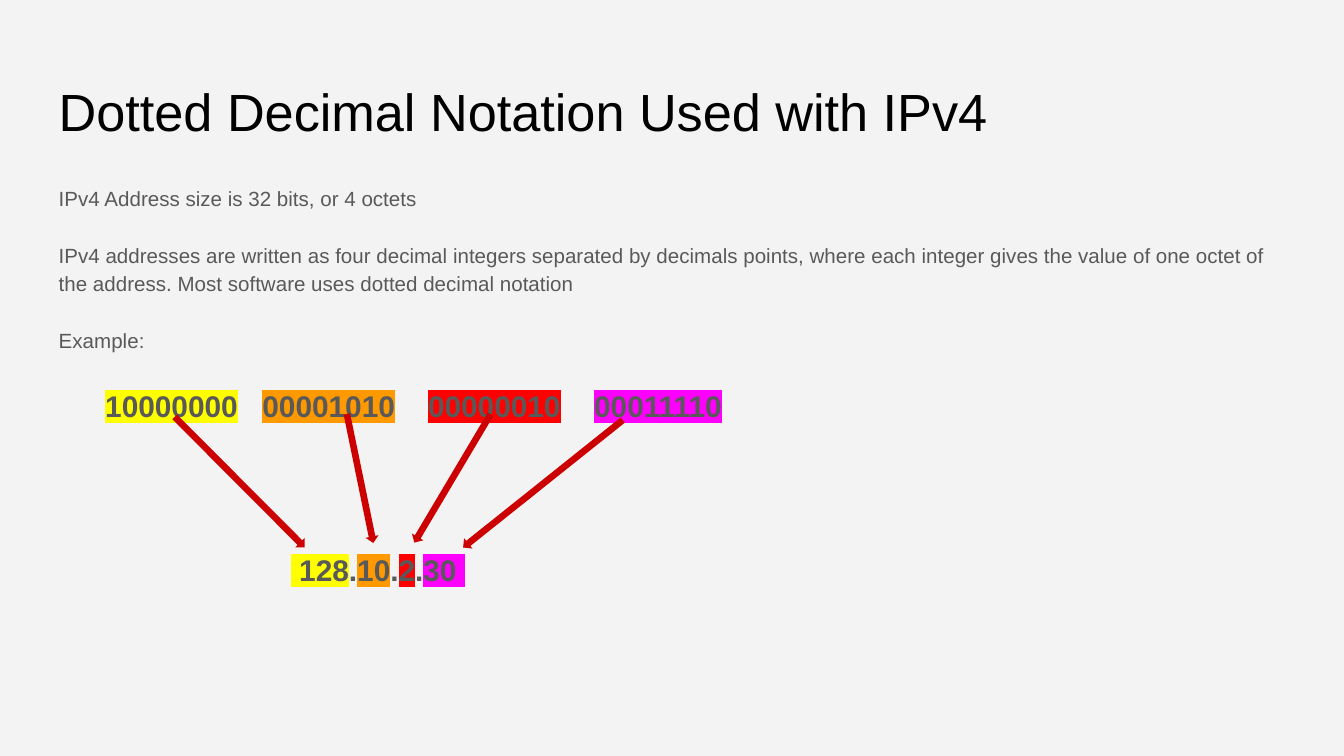
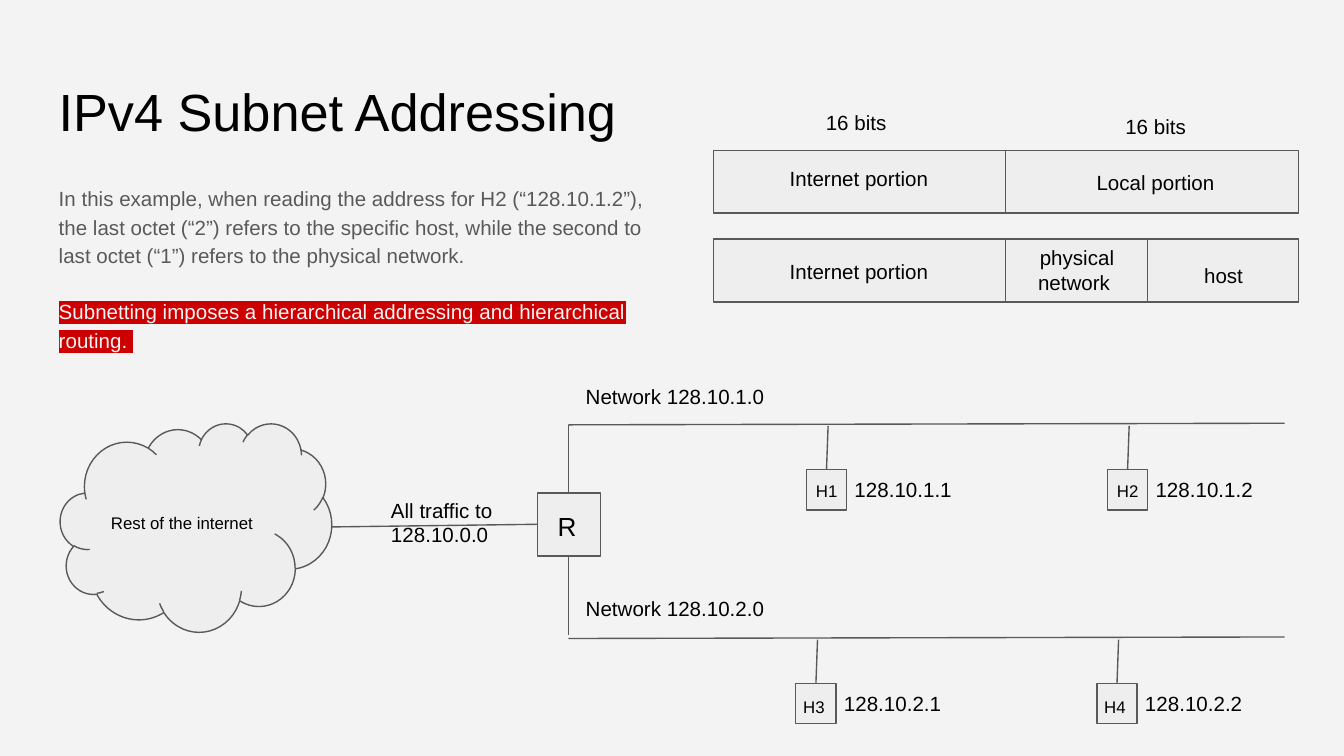
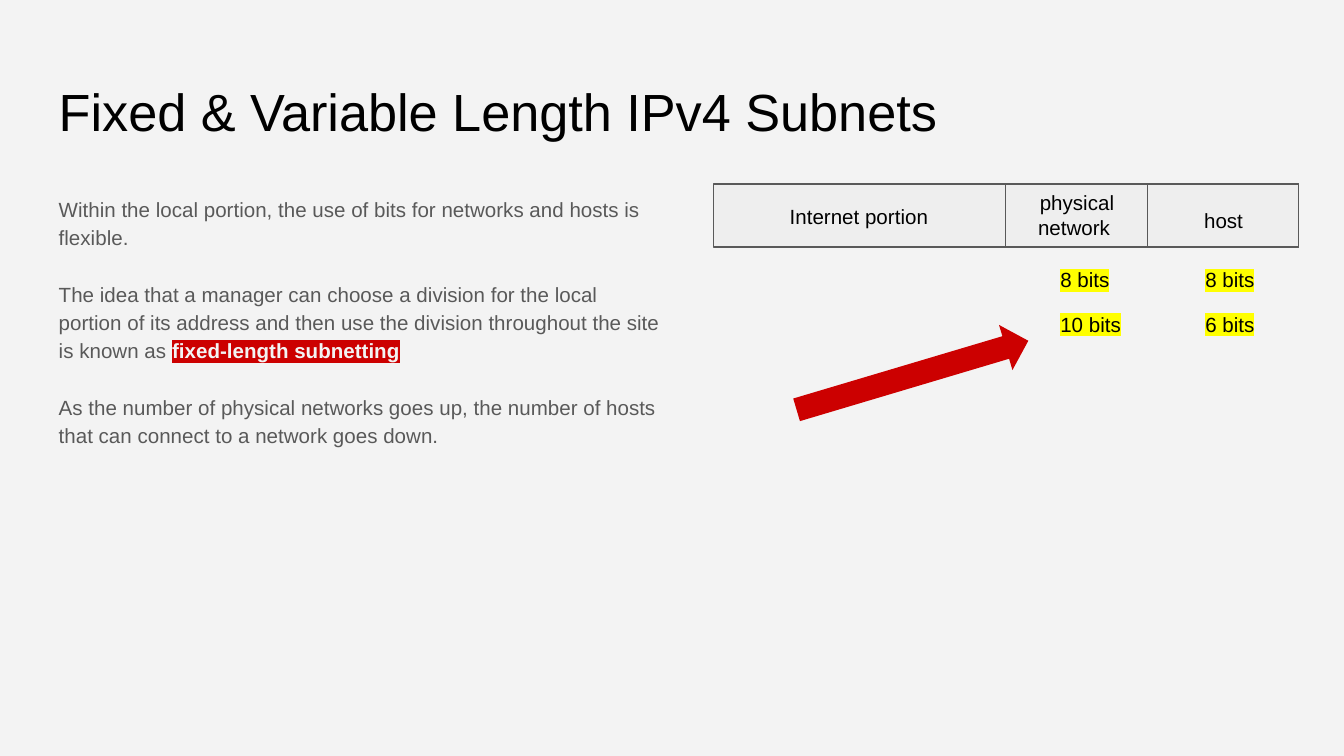
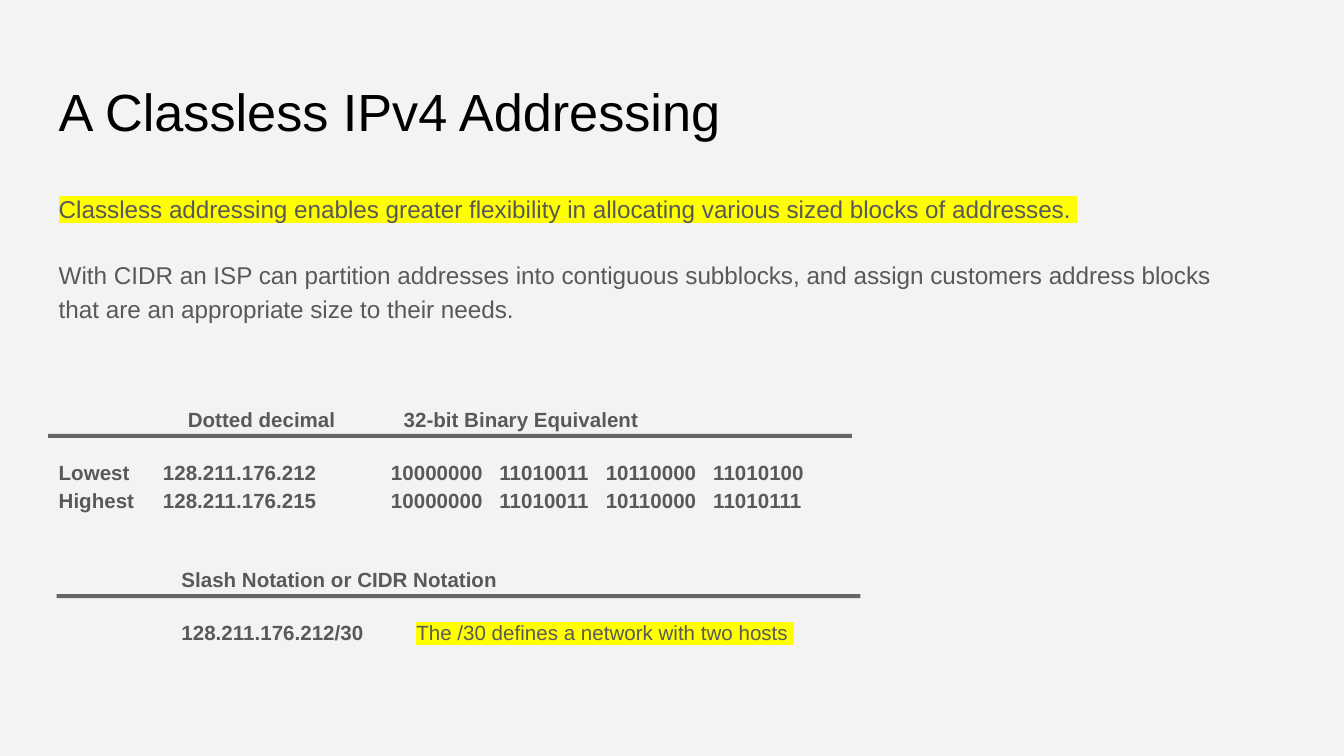
from dataclasses import dataclass

from lxml.etree import SubElement
from pptx import Presentation
from pptx.dml.color import RGBColor
from pptx.enum.shapes import MSO_CONNECTOR, MSO_SHAPE
from pptx.enum.text import MSO_ANCHOR, MSO_AUTO_SIZE, PP_ALIGN
from pptx.oxml.ns import qn
from pptx.util import Cm, Pt

BACKGROUND = RGBColor(0xF3, 0xF3, 0xF3)
BLACK = RGBColor(0, 0, 0)
GREY = RGBColor(0x59, 0x59, 0x59)
RULE_GREY = RGBColor(0x66, 0x66, 0x66)
BOX_FILL = RGBColor(0xEE, 0xEE, 0xEE)
DARK_RED = RGBColor(0xCC, 0, 0)
YELLOW = RGBColor(0xFF, 0xFF, 0)
ORANGE = RGBColor(0xFF, 0x99, 0)
RED = RGBColor(0xFF, 0, 0)
MAGENTA = RGBColor(0xFF, 0, 0xFF)

FONT = "Arial"
LINE_HEIGHT = 1.38  # height of a 1.15-spaced line, as a share of the font size
BODY_SPACING = 1.15
TITLE_AREA = (0.86, 1.24, 23.67, 1.6)


@dataclass
class Run:
    text: str
    highlight: RGBColor = None
    color: RGBColor = None
    bold: bool = None


@dataclass
class Para:
    """One paragraph; gap counts the lines left free above it."""
    runs: list
    size: float = 11
    gap: float = 0
    bold: bool = False
    color: RGBColor = GREY
    spacing: float = BODY_SPACING
    align: PP_ALIGN = PP_ALIGN.LEFT


# Content: all lengths in cm, areas are (left, top, width, height)

# octet: bits, decimal value, colour, left
OCTETS = [("10000000", " 128", YELLOW, 1.74), ("00001010", "10", ORANGE, 4.71),
          ("00000010", "2", RED, 7.84), ("00011110", "30 ", MAGENTA, 10.98)]
OCTET_TOP, OCTET_WIDTH, OCTET_HEIGHT = 6.97, 3.1, 1.25
DOTTED_AREA = (5.25, 10.07, 4.2, 1.25)
OCTET_ARROWS = [((2.79, 8.99, 3.48, 0.25), 45.1), ((5.56, 8.92, 2.49, 0.25), 78.4),
                ((7.14, 8.92, 2.82, 0.25), 120.7), ((8.33, 9.02, 3.86, 0.25), 141.4)]

NOTATION = [
    Para([Run("IPv4 Address size is 32 bits, or 4 octets")]),
    Para([Run("IPv4 addresses are written as four decimal integers separated by decimals "
              "points, where each integer gives the value of one octet of the address. "
              "Most software uses dotted decimal notation")], gap=1),
    Para([Run("Example:")], gap=1),
]

SUBNETTING = [
    Para([Run("In this example, when reading the address for H2 (“128.10.1.2”), the last "
              "octet (“2”) refers to the specific host, while the second to last octet "
              "(“1”) refers to the physical network.")]),
    Para([Run("Subnetting imposes a hierarchical addressing and hierarchical routing. ",
              DARK_RED, BACKGROUND)], gap=1),
]

# address part: text, box left, box width, label left, label width, label drop
INTERNET = ("Internet portion", 13.49, 5.54, 13.49, 5.49, 0.12)
INTERNET_HIGH = INTERNET[:-1] + (0.05,)
LOCAL = ("Local portion", 19.0, 5.54, 19.15, 5.38, 0.13)
PHYSICAL = ("physical network ", 19.0, 5.54, 19.1, 2.51, -0.14)
HOST = ("host", 21.69, 2.85, 21.87, 2.51, 0.2)
PART_HEIGHT = 1.19
BIT_COUNTS = [("16 bits ", (13.49, 1.83, 5.49, 0.71)), ("16 bits", (19.15, 1.9, 5.38, 0.71))]

CLOUD = (1.14, 8.0, 5.13, 3.94)
ROUTER = (10.16, 9.32, 1.19, 1.19)
LINKS = [(6.27, 9.96, 10.16, 9.91), (10.74, 8.03, 10.74, 9.32), (10.74, 10.49, 10.74, 12.01)]
BUS_LEFT, BUS_RIGHT = 10.74, 24.28
HOST_SIZE = 0.76
# network: name, bus top, name top, shift of host names, hosts (name, address, left)
NETWORKS = [
    ("Network 128.10.1.0", 8.0, 7.04, (-0.07, -0.05),
     [("H1", "128.10.1.1", 15.24), ("H2", "128.10.1.2", 20.93)]),
    ("Network 128.10.2.0", 12.04, 11.05, (-0.11, 0),
     [("H3", "128.10.2.1", 15.04), ("H4", "128.10.2.2", 20.73)]),
]

SUBNET_LENGTHS = [
    Para([Run("Within the local portion, the use of bits for networks and hosts is flexible.")]),
    Para([Run("The idea that a manager can choose a division for the local portion of its "
              "address and then use the division throughout the site is known as "),
          Run("fixed-length subnetting", DARK_RED, BACKGROUND, True)], gap=1),
    Para([Run("As the number of physical networks goes up, the number of hosts that can "
              "connect to a network goes down.")], gap=1),
]
DIVISIONS = [("8 bits", "8 bits"), ("10 bits", "6 bits")]
DIVISION_LEFTS, DIVISION_TOP, DIVISION_STEP = (19.79, 22.53), 4.8, 0.84

CLASSLESS = [
    Para([Run("Classless addressing enables greater flexibility in allocating various sized "
              "blocks of addresses. ", YELLOW)], size=13),
    Para([Run("With CIDR an ISP can partition addresses into contiguous subblocks, and assign "
              "customers address blocks that are an appropriate size to their needs.")],
         size=13, gap=1),
]
# column of the address range: left, width, lowest, highest
RANGE_COLUMNS = [
    (0.86, 1.98, "Lowest", "Highest"),
    (2.83, 3.6, "128.211.176.212", "128.211.176.215"),
    (7.14, 2.4, "10000000", "10000000"),
    (9.19, 2.4, "11010011", "11010011"),
    (11.2, 2.4, "10110000", "10110000"),
    (13.23, 2.4, "11010100", "11010111"),
]
RANGE_TOP, RANGE_HEIGHT = 8.38, 1.5
CIDR_TEXTS = [
    ((3.3, 7.37, 4.0, 0.74), Para([Run("Dotted decimal")], bold=True)),
    ((7.38, 7.37, 6.0, 0.74), Para([Run("32-bit Binary Equivalent")], bold=True)),
    ((3.18, 11.4, 8.43, 1.5), Para([Run("128.211.176.212/30")], bold=True)),
    ((3.18, 10.39, 7.04, 0.66), Para([Run("Slash Notation or CIDR Notation")], bold=True)),
    ((7.62, 11.4, 13.56, 1.5), Para([Run("The /30 defines a network with two hosts ", YELLOW)])),
]
CIDR_RULES = [(0.91, 8.2, 15.19, 0.08), (1.07, 11.23, 15.19, 0.08)]


def cm(area):
    return [Cm(length) for length in area]


def write_run(paragraph, part):
    run = paragraph.add_run()
    run.text = part.text
    if part.bold is not None:
        run.font.bold = part.bold
    if part.color is not None:
        run.font.color.rgb = part.color
    if part.highlight is not None:
        highlight = SubElement(run.font._element, qn("a:highlight"))
        SubElement(highlight, qn("a:srgbClr"), val=str(part.highlight))


def write(frame, paras, anchor=MSO_ANCHOR.TOP):
    frame.word_wrap = True
    frame.auto_size = MSO_AUTO_SIZE.NONE
    frame.vertical_anchor = anchor
    frame.margin_left = frame.margin_right = Cm(0.25)
    frame.margin_top = frame.margin_bottom = Cm(0.25)
    for i, para in enumerate(paras):
        paragraph = frame.add_paragraph() if i else frame.paragraphs[0]
        properties = paragraph._p.get_or_add_pPr()
        properties.set("marL", "0")
        properties.set("indent", "0")
        SubElement(properties, qn("a:buNone"))
        paragraph.alignment = para.align
        paragraph.line_spacing = para.spacing
        paragraph.space_before = Pt(round(para.gap * para.size * LINE_HEIGHT, 1))
        paragraph.space_after = Pt(0)
        font = paragraph.font
        font.name, font.size, font.bold = FONT, Pt(para.size), para.bold
        font.color.rgb = para.color
        for part in para.runs:
            write_run(paragraph, part)


def place(shape, area):
    shape.left, shape.top, shape.width, shape.height = cm(area)


def add_slide(prs, title, body_area, body):
    slide = prs.slides.add_slide(prs.slide_layouts[1])
    heading, content = slide.placeholders
    place(heading, TITLE_AREA)
    write(heading.text_frame, [Para([Run(title)], size=28, color=BLACK, spacing=1.0)])
    place(content, body_area)
    write(content.text_frame, body)
    return slide


def add_text(slide, area, paras):
    write(slide.shapes.add_textbox(*cm(area)).text_frame, paras)


def add_label(slide, text, area, size=11, align=PP_ALIGN.LEFT, highlight=None):
    add_text(slide, area, [Para([Run(line, highlight)], size=size, color=BLACK, spacing=1.0,
                                align=align) for line in text.split("\n")])


def add_box(slide, area, kind=MSO_SHAPE.RECTANGLE, fill=BOX_FILL, line=GREY, rotation=0):
    box = slide.shapes.add_shape(kind, *cm(area))
    box.shadow.inherit = False
    box.fill.solid()
    box.fill.fore_color.rgb = fill
    box.rotation = rotation
    if line is None:
        box.line.fill.background()
    else:
        box.line.color.rgb = line
        box.line.width = Pt(0.75)
    return box


def add_arrow(slide, area, rotation):
    add_box(slide, area, MSO_SHAPE.RIGHT_ARROW, DARK_RED, None, rotation)


def add_line(slide, ends):
    line = slide.shapes.add_connector(MSO_CONNECTOR.STRAIGHT, *cm(ends))
    line.line.color.rgb = GREY
    line.line.width = Pt(0.75)
    SubElement(line._element.spPr, qn("a:effectLst"))


def add_address(slide, top, parts):
    for text, left, width, label_left, label_width, drop in parts:
        add_box(slide, (left, top, width, PART_HEIGHT))
        add_label(slide, text, (label_left, top + drop, label_width, 0.71),
                  align=PP_ALIGN.CENTER)


def add_network(slide, name, bus, name_top, shift, hosts):
    add_line(slide, (BUS_LEFT, bus + 0.03, BUS_RIGHT, bus))
    add_label(slide, name, (10.82, name_top, 7.01, 0.43))
    top = bus + 0.88
    for host, address, left in hosts:
        add_box(slide, (left, top, HOST_SIZE, HOST_SIZE))
        add_line(slide, (left + 0.41, bus + 0.05, left + 0.38, top))
        add_label(slide, host, (left + shift[0], top + shift[1], 1.35, 0.76), size=9)
        add_label(slide, address, (left + 0.66, top - 0.08, 2.92, 0.43))


def notation_slide(prs):
    slide = add_slide(prs, "Dotted Decimal Notation Used with IPv4",
                      (0.86, 3.2, 23.67, 9.5), NOTATION)
    dotted = []
    for bits, value, color, left in OCTETS:
        add_text(slide, (left, OCTET_TOP, OCTET_WIDTH, OCTET_HEIGHT),
                 [Para([Run(bits, color)], size=16, bold=True)])
        if dotted:
            dotted.append(Run("."))
        dotted.append(Run(value, color))
    add_text(slide, DOTTED_AREA, [Para(dotted, size=16, bold=True)])
    for area, rotation in OCTET_ARROWS:
        add_arrow(slide, area, rotation)


def subnet_slide(prs):
    slide = add_slide(prs, "IPv4 Subnet Addressing", (0.86, 3.2, 11.84, 3.07), SUBNETTING)
    cloud = add_box(slide, CLOUD, MSO_SHAPE.CLOUD)
    write(cloud.text_frame, [Para([Run("Rest of the internet")], size=9, color=BLACK,
                                  spacing=1.0)], MSO_ANCHOR.MIDDLE)
    for ends in LINKS:
        add_line(slide, ends)
    add_box(slide, ROUTER)
    add_label(slide, "R", (10.29, 9.4, 0.99, 0.76), size=14)
    add_label(slide, "All traffic to\n128.10.0.0", (7.14, 9.19, 3.1, 0.43))
    for network in NETWORKS:
        add_network(slide, *network)
    add_address(slide, 2.84, [INTERNET_HIGH, LOCAL])
    add_address(slide, 4.52, [INTERNET, PHYSICAL, HOST])
    for text, area in BIT_COUNTS:
        add_label(slide, text, area, align=PP_ALIGN.CENTER)


def subnet_length_slide(prs):
    slide = add_slide(prs, "Fixed & Variable Length IPv4 Subnets",
                      (0.86, 3.4, 11.99, 9.73), SUBNET_LENGTHS)
    add_address(slide, 3.48, [INTERNET, PHYSICAL, HOST])
    for i, division in enumerate(DIVISIONS):
        for left, bits in zip(DIVISION_LEFTS, division):
            add_label(slide, bits, (left, DIVISION_TOP + i * DIVISION_STEP, 1.83, 0.81),
                      highlight=YELLOW)
    add_arrow(slide, (14.96, 6.65, 4.57, 0.89), 343.4)


def classless_slide(prs):
    slide = add_slide(prs, "A Classless IPv4 Addressing", (0.86, 3.33, 23.11, 2.97), CLASSLESS)
    for area in CIDR_RULES:
        add_box(slide, area, fill=RULE_GREY, line=None)
    for left, width, *ends in RANGE_COLUMNS:
        add_text(slide, (left, RANGE_TOP, width, RANGE_HEIGHT),
                 [Para([Run(end)], bold=True) for end in ends])
    for area, para in CIDR_TEXTS:
        add_text(slide, area, [para])


def main():
    prs = Presentation()
    prs.slide_width, prs.slide_height = Cm(25.4), Cm(14.29)
    backdrop = prs.slide_master.background.fill
    backdrop.solid()
    backdrop.fore_color.rgb = BACKGROUND
    for build in (notation_slide, subnet_slide, subnet_length_slide, classless_slide):
        build(prs)
    prs.save("out.pptx")


if __name__ == "__main__":
    main()
